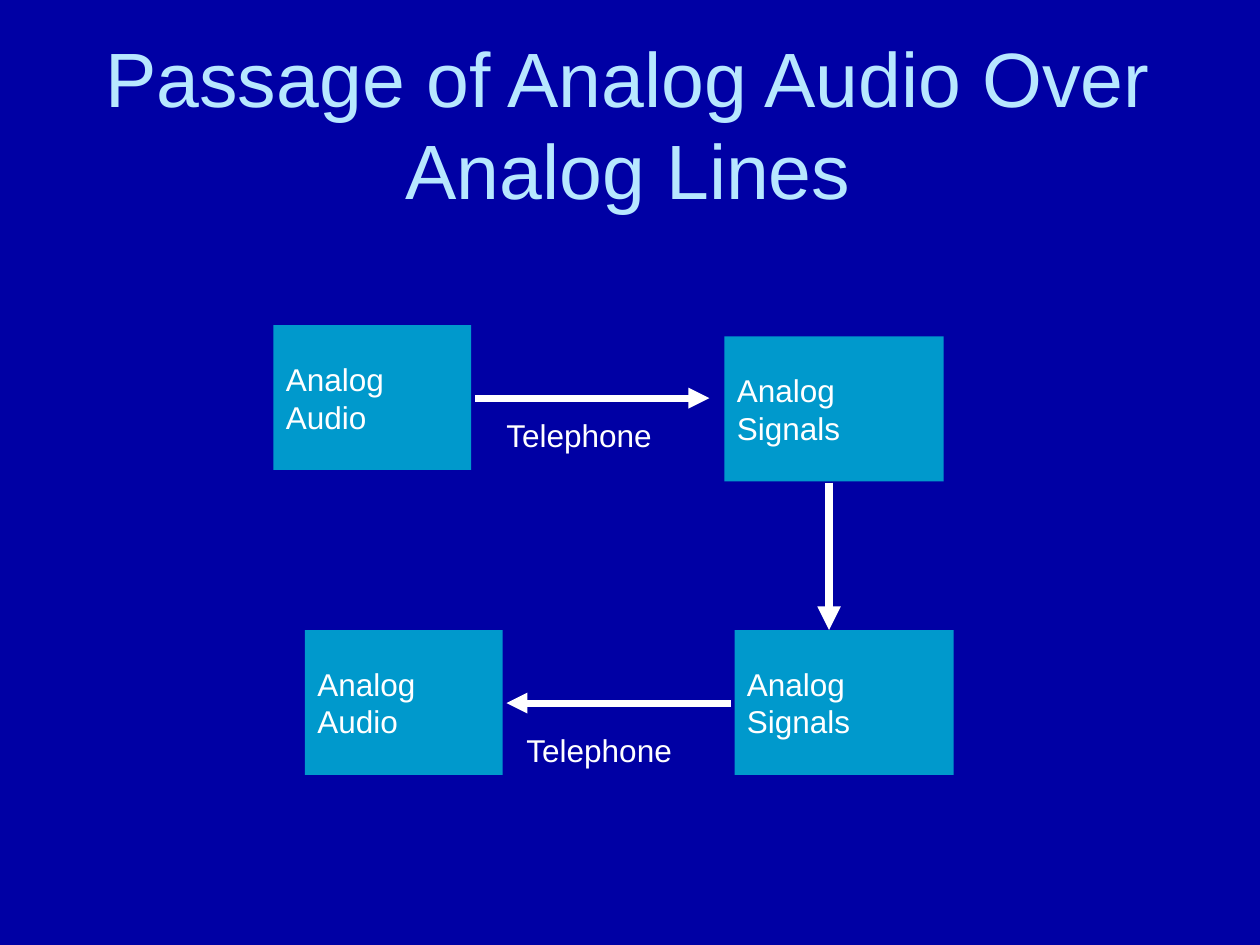
from pptx import Presentation
from pptx.dml.color import RGBColor
from pptx.enum.shapes import MSO_CONNECTOR, MSO_SHAPE
from pptx.enum.text import MSO_ANCHOR, PP_ALIGN
from pptx.oxml.ns import qn
from pptx.util import Inches, Pt
from lxml.etree import SubElement

NAVY = RGBColor(0x00, 0x00, 0xA4)
PALE = RGBColor(0xB7, 0xE7, 0xFF)
TEAL = RGBColor(0x00, 0x99, 0xCC)
WHITE = RGBColor(0xFF, 0xFF, 0xFF)

BODY = {"name": "Arial", "size": Pt(18)}
HEADING = {"name": "Arial", "size": Pt(44)}


def write(shape, lines, font, color, align=PP_ALIGN.LEFT, anchor=MSO_ANCHOR.MIDDLE):
    frame = shape.text_frame
    frame.word_wrap = True
    frame.vertical_anchor = anchor
    frame.text = "\n".join(lines)
    for para in frame.paragraphs:
        para.alignment = align
        for key, value in font.items():
            setattr(para.font, key, value)
        para.font.color.rgb = color


def add_title(slide, left, top, width, height):
    box = slide.shapes.add_textbox(*map(Inches, (left, top, width, height)))
    write(box, ["Passage of Analog Audio Over Analog Lines"],
          HEADING, PALE, PP_ALIGN.CENTER)


def add_block(slide, left, top, width, lines):
    block = slide.shapes.add_shape(
        MSO_SHAPE.RECTANGLE, *map(Inches, (left, top, width, 1.15)))
    block.shadow.inherit = False
    block.fill.solid()
    block.fill.fore_color.rgb = TEAL
    block.line.fill.background()
    write(block, lines, BODY, WHITE)


def add_label(slide, left, top, text):
    label = slide.shapes.add_textbox(*map(Inches, (left, top, 1.75, 0.5)))
    write(label, [text], BODY, WHITE, anchor=MSO_ANCHOR.TOP)


def add_arrow(slide, start, end, weight):
    arrow = slide.shapes.add_connector(
        MSO_CONNECTOR.STRAIGHT, *map(Inches, (*start, *end)))
    arrow.line.color.rgb = WHITE
    arrow.line.width = Pt(weight)
    SubElement(arrow.line._get_or_add_ln(), qn("a:tailEnd"), type="triangle")
    SubElement(arrow._element.spPr, qn("a:effectLst"))


def add_flow(slide, left, top):
    audio, signals = ["Analog", "Audio"], ["Analog", "Signals"]

    # Blocks, clockwise from the upper left
    for x, y, width, lines in (
        (0, 0, 1.57, audio),
        (3.58, 0.09, 1.74, signals),
        (3.66, 2.42, 1.74, signals),
        (0.25, 2.42, 1.57, audio),
    ):
        add_block(slide, left + x, top + y, width, lines)

    # Arrows in the order of the passage
    for x1, y1, x2, y2, weight in (
        (1.6, 0.58, 3.46, 0.58, 4),
        (4.41, 1.25, 4.41, 2.42, 4.5),
        (3.63, 3, 1.85, 3, 4),
    ):
        add_arrow(slide, (left + x1, top + y1), (left + x2, top + y2), weight)

    # Labels under the level arrows
    for x, y in ((1.75, 0.67), (1.91, 3.17)):
        add_label(slide, left + x, top + y, "Telephone")


def main():
    deck = Presentation()
    deck.slide_width, deck.slide_height = Inches(10), Inches(7.5)
    slide = deck.slides.add_slide(deck.slide_layouts[6])
    slide.background.fill.solid()
    slide.background.fill.fore_color.rgb = NAVY
    add_title(slide, 0.33, 0.25, 9.31, 1.45)
    add_flow(slide, 2.17, 2.58)
    deck.save("out.pptx")


if __name__ == "__main__":
    main()
